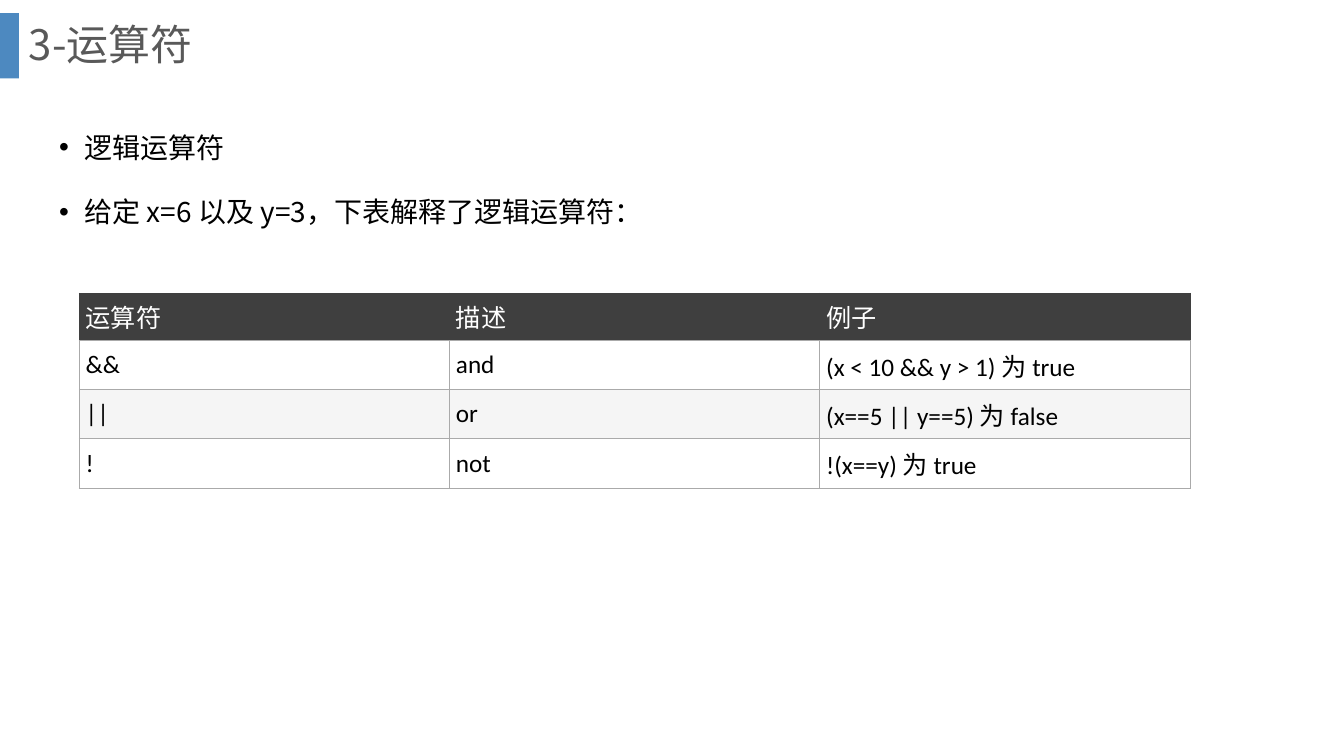
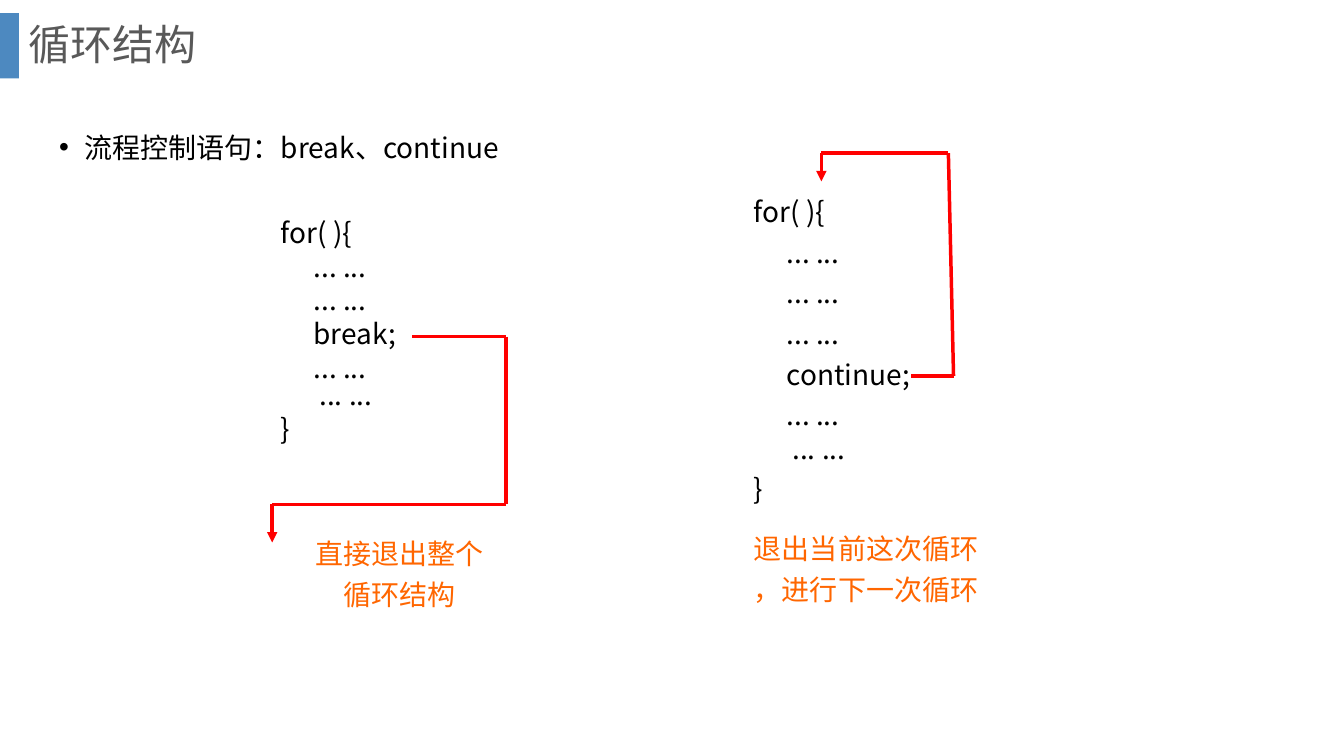
import pptx
import pptx.dml.color
import pptx.enum.shapes
import pptx.enum.text
import pptx.oxml
import pptx.oxml.ns
import pptx.util
from pptx.util import Cm

RGBColor = pptx.dml.color.RGBColor
BLUE = RGBColor(0x2E, 0x75, 0xB6)
GRAY = RGBColor(0x59, 0x59, 0x59)
BLACK = RGBColor(0x00, 0x00, 0x00)
WHITE = RGBColor(0xFF, 0xFF, 0xFF)
RED = RGBColor(0xFF, 0x00, 0x00)
ORANGE = RGBColor(0xFF, 0x66, 0x00)
DARK = RGBColor(0x3F, 0x3F, 0x3F)
BAND = RGBColor(0xF5, 0xF5, 0xF5)
BORDER = RGBColor(0xAA, 0xAA, 0xAA)
FONT = "Noto Sans CJK SC"
LEFT = pptx.enum.text.PP_ALIGN.LEFT
CENTER = pptx.enum.text.PP_ALIGN.CENTER
MIDDLE = pptx.enum.text.MSO_ANCHOR.MIDDLE


def add_xml(parent, tag, **attrs):
    """Append a DrawingML child element and return it."""
    child = pptx.oxml.parse_xml(f"<a:{tag} {pptx.oxml.ns.nsdecls('a')}/>")
    for name, value in attrs.items():
        child.set(name, str(value))
    parent.append(child)
    return child


def format_runs(p, size, color, font=FONT):
    """Set size, colour and Latin and East Asian fonts of a paragraph's runs."""
    for r in p.runs:
        r.font.size = pptx.util.Pt(size)
        r.font.color.rgb = color
        r.font.name = font
        add_xml(r.font._element, "ea", typeface=FONT)


def indent(p, margin, first):
    """Set the left margin and first-line indent of a paragraph."""
    pPr = p._p.get_or_add_pPr()
    pPr.set("marL", str(Cm(margin)))
    pPr.set("indent", str(Cm(first)))
    return pPr


def add_text(slide, box, lines, size=20, color=BLACK, font=FONT,
             spacing=1.0, before=0, align=LEFT):
    """Place one paragraph per line in a box and return the text frame."""
    tf = slide.shapes.add_textbox(*map(Cm, box)).text_frame
    tf.word_wrap = True
    tf.text = "\n".join(lines)
    for p in tf.paragraphs:
        p.alignment = align
        p.line_spacing = spacing
        p.space_before = pptx.util.Pt(before)
        format_runs(p, size, color, font)
    return tf


def add_base(prs, title, bullets):
    """Add a slide with the blue marker, the title and the bullets."""
    slide = prs.slides.add_slide(prs.slide_layouts[6])
    sp = slide.shapes.add_shape(pptx.enum.shapes.MSO_SHAPE.RECTANGLE,
                                Cm(0), Cm(0.33), Cm(0.48), Cm(1.65))
    sp.shadow.inherit = False
    sp.line.fill.background()
    sp.fill.solid()
    sp.fill.fore_color.rgb = BLUE
    srgb = sp._element.spPr.find(".//" + pptx.oxml.ns.qn("a:srgbClr"))
    add_xml(srgb, "alpha", val=85000)
    tf = add_text(slide, (0.48, 0, 32.16, 2.36), [title], 30, GRAY, spacing=0.9)
    tf.vertical_anchor = MIDDLE
    tf = add_text(slide, (1.24, 2.74, 31.37, 14.73), bullets, spacing=1.5, before=10)
    for p in tf.paragraphs:
        pPr = indent(p, 0.64, -0.64)
        add_xml(pPr, "buFont", typeface="Arial")
        add_xml(pPr, "buChar", char="•")
    return slide


def add_borders(cell, color):
    """Draw the left, right and top borders in a colour, the bottom in gray."""
    tcPr = cell._tc.get_or_add_tcPr()
    sides = (("lnL", color), ("lnR", color), ("lnT", color), ("lnB", BORDER))
    for i, (side, rgb) in enumerate(sides):
        ln = add_xml(tcPr, side, w=pptx.util.Pt(0.75))
        add_xml(add_xml(ln, "solidFill"), "srgbClr", val=rgb)
        tcPr.insert(i, ln)


def add_table(slide, left, top, width, rows):
    """Place a banded table with a dark header row and equal columns."""
    table = slide.shapes.add_table(len(rows), len(rows[0]), Cm(left), Cm(top),
                                   Cm(width), Cm(1.24 * len(rows))).table
    for i, row in enumerate(rows):
        header = i == 0
        table.rows[i].height = Cm(1.19 if header else 1.24)
        for j, text in enumerate(row):
            cell = table.cell(i, j)
            cell.text = text
            cell.vertical_anchor = MIDDLE
            cell.margin_left, cell.margin_right = Cm(0.16), Cm(0.4)
            cell.margin_top = cell.margin_bottom = Cm(0.13 if header else 0.16)
            cell.fill.solid()
            cell.fill.fore_color.rgb = DARK if header else BAND if i == 2 else WHITE
            add_borders(cell, DARK if header else BORDER)
            format_runs(cell.text_frame.paragraphs[0], 18,
                        WHITE if header else BLACK, "Calibri")


def add_route(slide, left, top, points):
    """Draw a red path through points relative to a corner, ending in an arrowhead."""
    corners = [(Cm(left + x), Cm(top + y)) for x, y in points]
    for start, end in zip(corners, corners[1:]):
        line = slide.shapes.add_connector(
            pptx.enum.shapes.MSO_CONNECTOR.STRAIGHT, *start, *end)
        line.line.color.rgb = RED
        line.line.width = pptx.util.Pt(2.5)
        if end == corners[-1]:
            add_xml(line.line._get_or_add_ln(), "tailEnd", type="triangle")
        add_xml(line._element.spPr, "effectLst")


def add_loop(slide, left, top, body, spacing, caption, caption_top, route,
             caption_before, align=LEFT, font=FONT):
    """Place a for loop, its jump arrow and its caption from a corner."""
    tf = add_text(slide, (left, top, 6.5, 7), ["for( ){", *body, "}"],
                  spacing=spacing, before=5)
    for p in tf.paragraphs[1:-1]:
        indent(p, 0.97, -0.15)
    add_text(slide, (left, top + caption_top, 6.5, 2.4), caption, color=ORANGE,
             font=font, spacing=spacing, before=caption_before, align=align)
    add_route(slide, left, top, route)


def main():
    """Build both slides and save the presentation."""
    prs = pptx.Presentation()
    prs.slide_width, prs.slide_height = Cm(33.87), Cm(19.05)

    slide = add_base(prs, "3-运算符",
                     ["逻辑运算符", "给定 x=6 以及 y=3，下表解释了逻辑运算符："])
    add_table(slide, 2, 7.39, 27.99, [
        ("运算符", "描述", "例子"),
        ("&&", "and", "(x < 10 && y > 1) 为 true"),
        ("||", "or", "(x==5 || y==5) 为 false"),
        ("!", "not", "!(x==y) 为 true"),
    ])

    slide = add_base(prs, "循环结构", ["流程控制语句：break、continue"])
    dots = "... ..."
    last_dots = dots + "\v" + dots
    add_loop(slide, 6.83, 5.46, [dots, dots, "break;", last_dots], 0.8,
             ["直接退出整个", "循环结构"], 8.1,
             [(3.56, 3.02), (5.92, 3.02), (5.92, 7.25), (0.03, 7.25), (0.03, 8.21)],
             10, CENTER, "Arial")
    add_loop(slide, 18.75, 4.78, [dots, dots, dots, "continue;", last_dots], 1.0,
             ["退出当前这次循环", "，进行下一次循环"], 8.5,
             [(4.21, 4.69), (5.28, 4.69), (5.15, -0.92), (1.95, -0.92), (1.95, -0.21)],
             5)
    prs.save("out.pptx")


if __name__ == "__main__":
    main()
